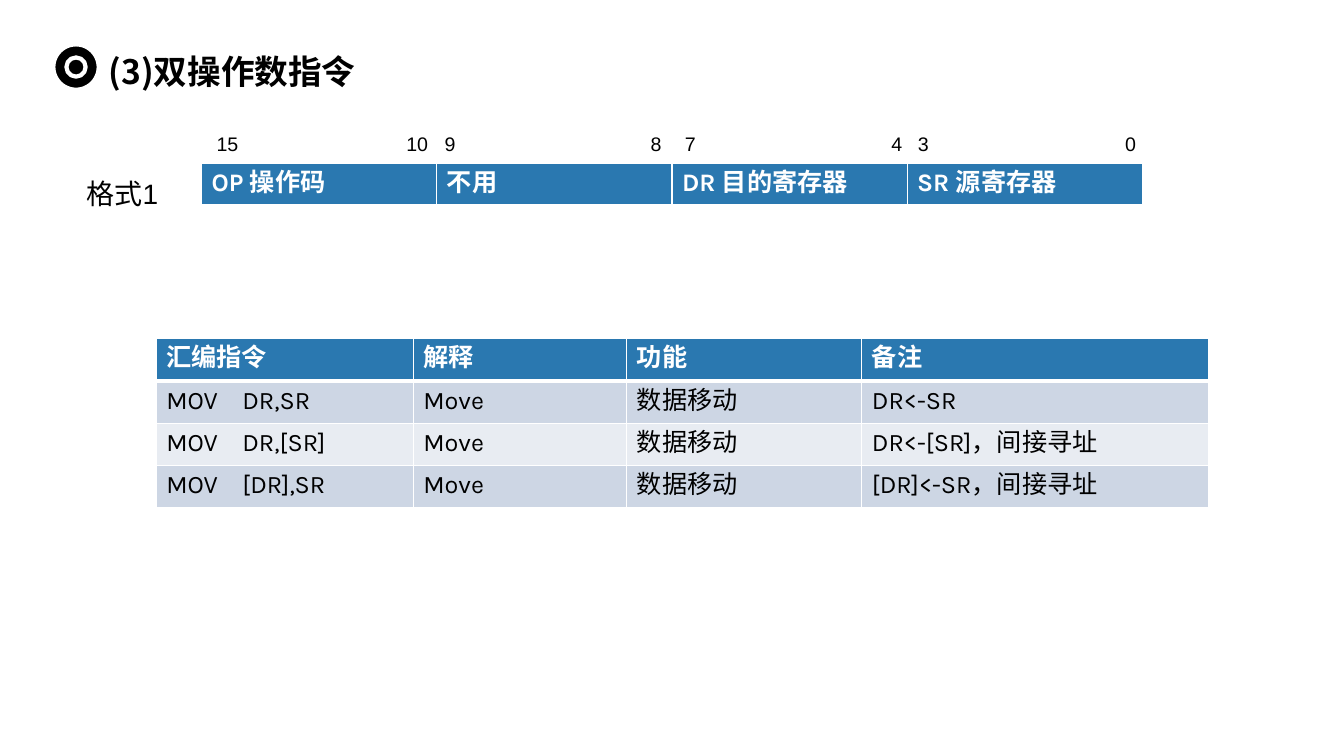
from lxml.etree import SubElement
from pptx import Presentation
from pptx.dml.color import RGBColor
from pptx.enum.shapes import MSO_SHAPE
from pptx.enum.text import MSO_ANCHOR
from pptx.oxml.ns import qn
from pptx.util import Pt

# Content
TITLE = "(3)双操作数指令"
FORMAT_LABEL = "格式1"
BIT_NUMBERS = ["15", "10", "9", "8", "7", "4", "3", "0"]
BIT_TABS = [135.5, 163, 310, 334.5, 482, 501, 649]
FIELDS = [["OP 操作码", "不用", "DR 目的寄存器", "SR 源寄存器"]]
INSTRUCTIONS = [
    ["汇编指令", "解释", "功能", "备注"],
    ["MOV\tDR,SR", "Move", "数据移动", "DR<-SR"],
    ["MOV\tDR,[SR]", "Move", "数据移动", "DR<-[SR]，间接寻址"],
    ["MOV\t[DR],SR", "Move", "数据移动", "[DR]<-SR，间接寻址"],
]
OPERAND_TAB = 54.3

# Style
BLACK, WHITE, BLUE = "000000", "FFFFFF", "2A78B0"
BANDS = ["CDD6E4", "E8ECF2"]
ROW_HEIGHT = 30.24

deck = Presentation()
deck.slide_width, deck.slide_height = Pt(960), Pt(540)
page = deck.slides.add_slide(deck.slide_layouts[6])


def color(value):
    return RGBColor.from_string(value)


def add_tabs(para, stops):
    tabs = SubElement(para._p.get_or_add_pPr(), qn("a:tabLst"))
    for stop in stops:
        SubElement(tabs, qn("a:tab"), pos=str(Pt(stop)), algn="l")


def add_span(para, text, size, font, ink, bold=False):
    span = para.add_run()
    span.text = text
    span.font.size, span.font.bold = Pt(size), bold
    span.font.name = font
    span.font.color.rgb = color(ink)
    SubElement(span._r.get_or_add_rPr(), qn("a:ea"), typeface=font)


def add_text(text, left, top, width, height, size, font, spacing,
             bold=False, anchor=MSO_ANCHOR.TOP, stops=()):
    box = page.shapes.add_textbox(Pt(left), Pt(top), Pt(width), Pt(height))
    box.text_frame.word_wrap = True
    box.text_frame.vertical_anchor = anchor
    para = box.text_frame.paragraphs[0]
    para.line_spacing = spacing
    if stops:
        add_tabs(para, stops)
    add_span(para, text, size, font, BLACK, bold)


def add_borders(cell, bottom):
    properties = cell._tc.get_or_add_tcPr()
    widths = {"a:lnL": 1, "a:lnR": 1, "a:lnT": 1, "a:lnB": bottom}
    for index, (side, width) in enumerate(widths.items()):
        line = SubElement(properties, qn(side), w=str(Pt(width)))
        fill = SubElement(line, qn("a:solidFill"))
        SubElement(fill, qn("a:srgbClr"), val=WHITE)
        properties.insert(index, line)


def add_grid(rows, left, top, widths):
    table = page.shapes.add_table(
        len(rows), len(widths), Pt(left), Pt(top),
        Pt(sum(widths)), Pt(ROW_HEIGHT * len(rows))).table
    for column, width in zip(table.columns, widths):
        column.width = Pt(width)
    for row_index, row in enumerate(rows):
        table.rows[row_index].height = Pt(ROW_HEIGHT)
        header = row_index == 0
        for column_index, text in enumerate(row):
            cell = table.cell(row_index, column_index)
            cell.fill.solid()
            cell.fill.fore_color.rgb = color(
                BLUE if header else BANDS[(row_index - 1) % 2])
            add_borders(cell, 3 if header else 1)
            para = cell.text_frame.paragraphs[0]
            if "\t" in text:
                add_tabs(para, [OPERAND_TAB])
            add_span(para, text, 18, "Karla", WHITE if header else BLACK, header)


# Title with its target bullet
add_text(TITLE, 70.56, 23, 869, 50.4, 24, "Noto Sans CJK SC", 1.2,
         bold=True, anchor=MSO_ANCHOR.MIDDLE)
CENTER_X, CENTER_Y = 54.3, 47.9
for diameter in (32.4, 13.7):
    ring = page.shapes.add_shape(
        MSO_SHAPE.OVAL, Pt(CENTER_X - diameter / 2), Pt(CENTER_Y - diameter / 2),
        Pt(diameter), Pt(diameter))
    ring.shadow.inherit = False
    ring.fill.solid()
    ring.fill.fore_color.rgb = color(BLACK)
    ring.line.color.rgb = color(WHITE)
    ring.line.width = Pt(3)

# Instruction format with bit numbers
add_grid(FIELDS, 144, 116.64, [168] * 4)
add_text("\t".join(BIT_NUMBERS), 147.6, 85.7, 682, 29.5, 14, "Arial", 1.3,
         stops=BIT_TABS)
add_text(FORMAT_LABEL, 54.7, 115.2, 65.5, 38.9, 20, "Arial", 1.3)

# Instruction list
add_grid(INSTRUCTIONS, 111.6, 241.9, [183.6, 152.6, 167.8, 247.7])

deck.save("out.pptx")
